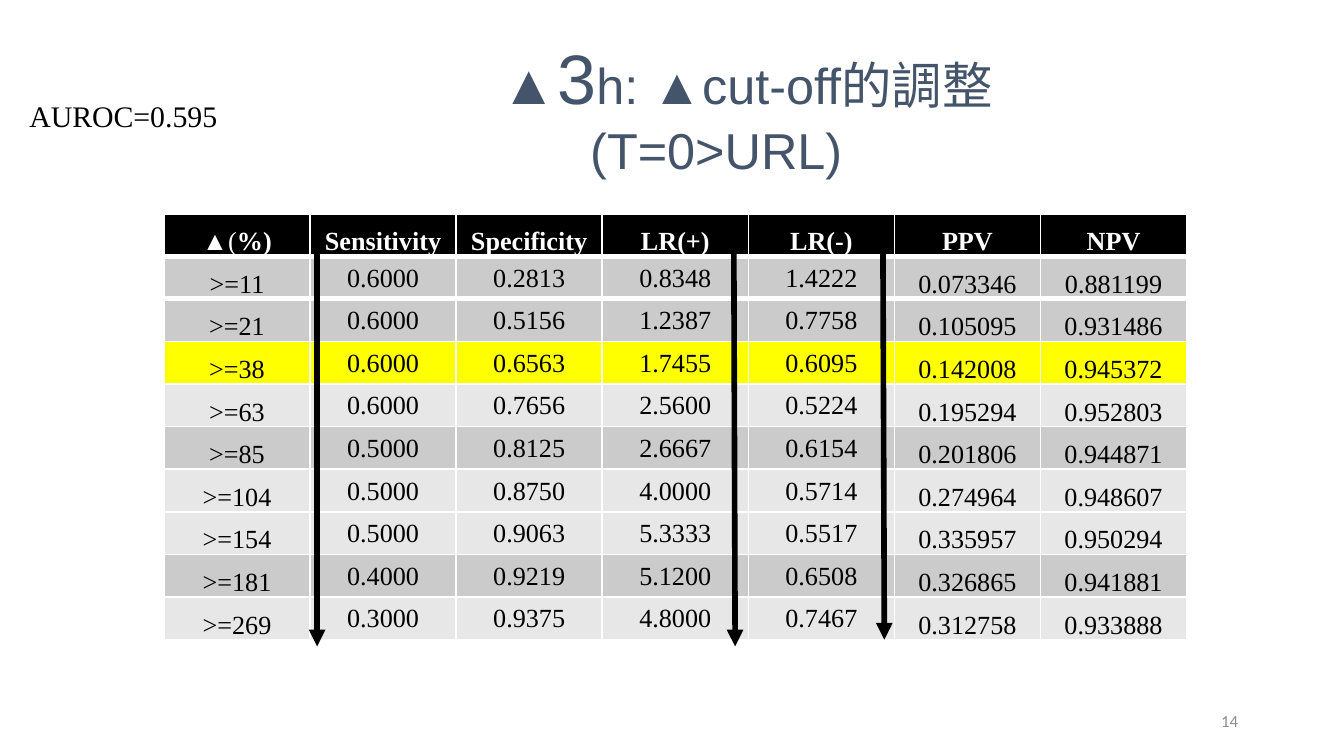
from typing import NamedTuple

from lxml.etree import SubElement as Sub
from pptx import Presentation
from pptx.dml.color import RGBColor as RGB
from pptx.enum.shapes import MSO_CONNECTOR as Conn
from pptx.enum.text import MSO_ANCHOR as Anchor, PP_ALIGN as Align
from pptx.oxml.ns import qn
from pptx.util import Inches, Pt

BLACK = RGB(0x00, 0x00, 0x00)
WHITE = RGB(0xFF, 0xFF, 0xFF)
DARK = RGB(0xCB, 0xCB, 0xCB)
LIGHT = RGB(0xE7, 0xE7, 0xE7)
YELLOW = RGB(0xFF, 0xFF, 0x00)
SLATE = RGB(0x44, 0x54, 0x6A)
GRAY = RGB(0x8C, 0x8C, 0x8C)
SERIF = "Times New Roman"


class Run(NamedTuple):
    text: str
    size: float
    font: str
    color: RGB
    bold: bool = False


class Row(NamedTuple):
    fill: RGB
    cells: str


class Arrow(NamedTuple):
    x1: float
    y1: float
    x2: float
    y2: float


ROWS = [
    Row(BLACK, "▲(%) Sensitivity Specificity LR(+) LR(-) PPV NPV"),
    Row(DARK, ">=11 0.6000 0.2813 0.8348 1.4222 0.073346 0.881199"),
    Row(DARK, ">=21 0.6000 0.5156 1.2387 0.7758 0.105095 0.931486"),
    Row(YELLOW, ">=38 0.6000 0.6563 1.7455 0.6095 0.142008 0.945372"),
    Row(LIGHT, ">=63 0.6000 0.7656 2.5600 0.5224 0.195294 0.952803"),
    Row(DARK, ">=85 0.5000 0.8125 2.6667 0.6154 0.201806 0.944871"),
    Row(LIGHT, ">=104 0.5000 0.8750 4.0000 0.5714 0.274964 0.948607"),
    Row(LIGHT, ">=154 0.5000 0.9063 5.3333 0.5517 0.335957 0.950294"),
    Row(DARK, ">=181 0.4000 0.9219 5.1200 0.6508 0.326865 0.941881"),
    Row(LIGHT, ">=269 0.3000 0.9375 4.8000 0.7467 0.312758 0.933888"),
]
ARROWS = [
    Arrow(2.36, 1.81, 2.36, 4.81),
    Arrow(5.46, 1.76, 5.47, 4.81),
    Arrow(6.57, 1.89, 6.58, 4.76),
]


def write(para, runs: list[Run], align: Align) -> None:
    para.alignment = align
    for item in runs:
        run = para.add_run()
        run.text = item.text
        font = run.font
        font.size, font.name, font.bold = Pt(item.size), item.font, item.bold
        font.color.rgb = item.color


def add_text(slide, left: float, top: float, width: float, height: float,
             lines: list[list[Run]], align: Align, anchor: Anchor):
    box = slide.shapes.add_textbox(
        Inches(left), Inches(top), Inches(width), Inches(height))
    frame = box.text_frame
    frame.word_wrap = True
    frame.vertical_anchor = anchor
    for i, runs in enumerate(lines):
        para = frame.add_paragraph() if i else frame.paragraphs[0]
        write(para, runs, align)
    return frame


def add_edge(cell, side: str, width: float) -> None:
    props = cell._tc.get_or_add_tcPr()
    edge = Sub(props, qn(f"a:ln{side}"), w=str(Pt(width)))
    Sub(Sub(edge, qn("a:solidFill")), qn("a:srgbClr"), val=str(WHITE))


def fill_cell(cell, text: str, row: int, col: int, fill: RGB) -> None:
    cell.margin_left = cell.margin_right = cell.margin_top = Inches(0.01)
    cell.margin_bottom = 0
    middle = row > 0 and 1 <= col <= 4
    cell.vertical_anchor = Anchor.MIDDLE if middle else Anchor.BOTTOM
    # Thick rules lie under the header and the first data row
    top = 3 if row in (1, 2) else 1
    low = 3 if row in (0, 1) else 1
    for side, width in zip("LRTB", (1, 1, top, low)):
        add_edge(cell, side, width)
    cell.fill.solid()
    cell.fill.fore_color.rgb = fill

    head = row == 0
    color = WHITE if head else BLACK
    runs = [Run(text, 14, SERIF, color, head)]
    if head and col == 0:
        runs = [Run(text[:2], 14, SERIF, color),
                Run(text[2:], 14, SERIF, color, True)]
    write(cell.text_frame.paragraphs[0], runs, Align.CENTER)


def add_grid(slide, rows: list[Row]) -> None:
    cols = len(rows[0].cells.split())
    table = slide.shapes.add_table(
        len(rows), cols, Inches(1.22), Inches(1.59),
        Inches(7.61), Inches(3.17)).table
    table.first_row = table.horz_banding = False
    for r, row in enumerate(rows):
        for c, text in enumerate(row.cells.split()):
            fill_cell(table.cell(r, c), text, r, c, row.fill)


def add_arrow(slide, arrow: Arrow) -> None:
    line = slide.shapes.add_connector(
        Conn.STRAIGHT, *(Inches(v) for v in arrow))
    line.line.color.rgb = BLACK
    line.line.width = Pt(3)
    Sub(line.line._get_or_add_ln(), qn("a:tailEnd"), type="triangle")
    Sub(line._element.spPr, qn("a:effectLst"))


def main() -> None:
    # Wide page, 16 to 9
    deck = Presentation()
    deck.slide_width, deck.slide_height = Inches(10), Inches(10 * 9 / 16)
    slide = deck.slides.add_slide(deck.slide_layouts[6])

    # Page number
    add_text(slide, 7.06, 5.21, 2.25, 0.3,
             [[Run("14", 9, "Calibri", GRAY)]], Align.RIGHT, Anchor.MIDDLE)

    # Table and trend arrows
    add_grid(slide, ROWS)
    for arrow in ARROWS:
        add_arrow(slide, arrow)

    # Title, with its first line set in from the left
    title = add_text(
        slide, 1.93, 0.25, 6.8, 1.09,
        [[Run("▲", 30, "Arial", SLATE), Run("3", 37.5, "Arial", SLATE),
          Run("h: ▲cut-off的調整", 27, "Arial", SLATE)],
         [Run("(T=0>URL)", 27, "Arial", SLATE)]],
        Align.CENTER, Anchor.MIDDLE)
    first = title.paragraphs[0]._p.get_or_add_pPr()
    first.set("marL", str(Inches(0.46)))
    first.set("indent", "0")

    # Score
    add_text(slide, 0.12, 0.68, 1.64, 0.37,
             [[Run("AUROC=0.595", 16, SERIF, BLACK)]],
             Align.LEFT, Anchor.TOP)

    deck.save("out.pptx")


if __name__ == "__main__":
    main()
